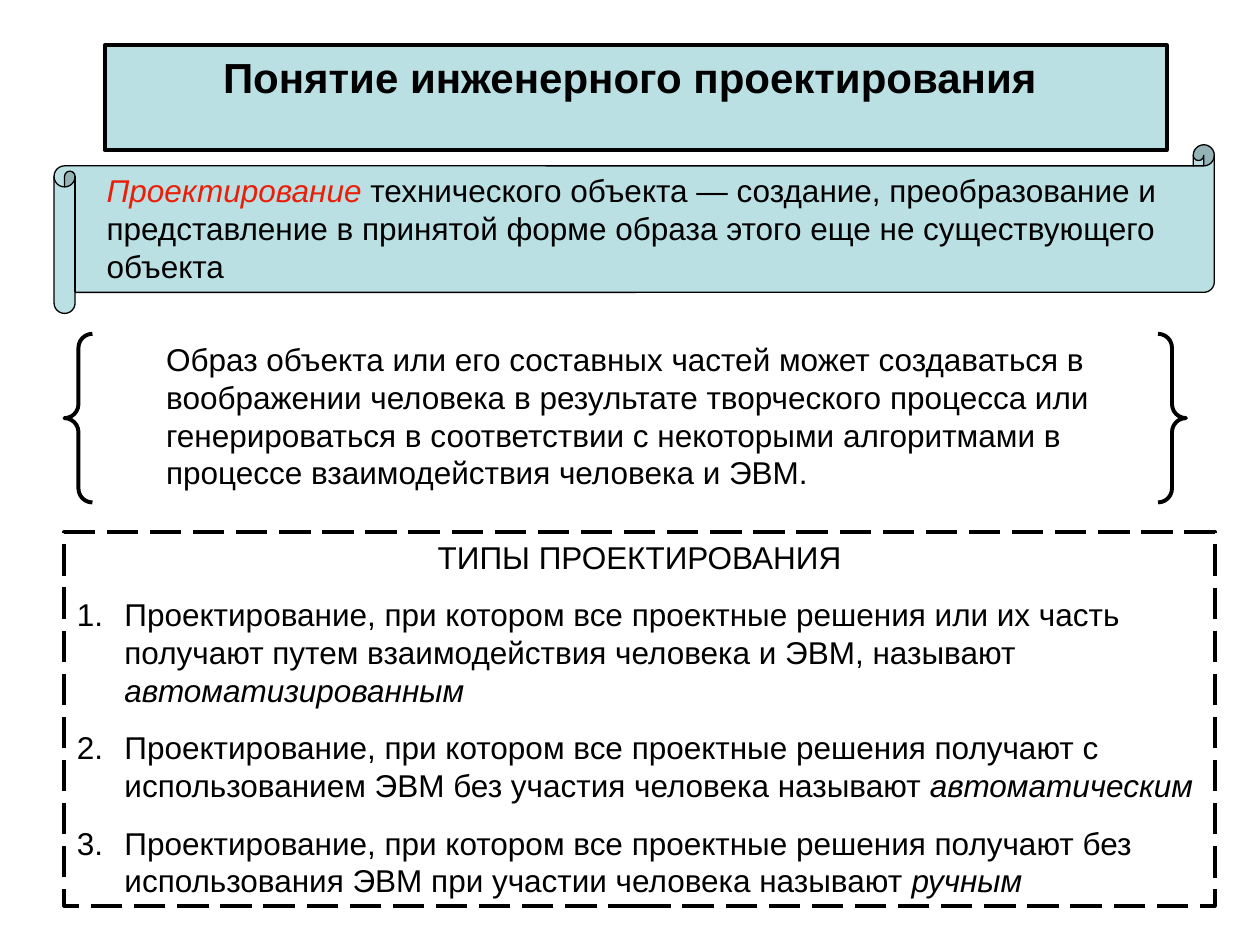
"""Build the slide on the notion of engineering design."""
from typing import NamedTuple, Optional

from lxml.etree import SubElement
from pptx import Presentation
from pptx.dml.color import RGBColor
from pptx.enum.dml import MSO_LINE
from pptx.enum.shapes import MSO_SHAPE
from pptx.enum.text import MSO_ANCHOR, MSO_AUTO_SIZE, PP_ALIGN
from pptx.oxml.ns import qn
from pptx.util import Cm, Pt

BLACK, RED, PALE_BLUE = "000000", "EA1F0A", "BBE0E3"


class Box(NamedTuple):
    left: float
    top: float
    width: float
    height: float


class Piece(NamedTuple):
    text: str
    color: str = BLACK
    italic: bool = False


class DesignType(NamedTuple):
    definition: str
    name: str


DESIGN_TYPES = [
    DesignType("Проектирование, при котором все проектные решения или их часть получают "
               "путем взаимодействия человека и ЭВМ, называют ", "автоматизированным"),
    DesignType("Проектирование, при котором все проектные решения получают с "
               "использованием ЭВМ без участия человека называют ", "автоматическим"),
    DesignType("Проектирование, при котором все проектные решения получают без "
               "использования ЭВМ при участии человека называют ", "ручным"),
]


def color_of(hex_color: str) -> RGBColor:
    return RGBColor.from_string(hex_color)


def place(shape, box: Box) -> None:
    shape.left, shape.top, shape.width, shape.height = map(Cm, box)


def paint(shape, fill: Optional[str], line_width: float) -> None:
    if fill:
        shape.fill.solid()
        shape.fill.fore_color.rgb = color_of(fill)
    else:
        shape.fill.background()
    shape.line.color.rgb = color_of(BLACK)
    shape.line.width = Pt(line_width)


def draw_shape(slide, kind: MSO_SHAPE, box: Box, fill: Optional[str], line_width: float):
    shape = slide.shapes.add_shape(kind, *map(Cm, box))
    shape.shadow.inherit = False
    paint(shape, fill, line_width)
    return shape


def prepare_frame(shape):
    frame = shape.text_frame
    frame.word_wrap = True
    frame.auto_size = MSO_AUTO_SIZE.SHAPE_TO_FIT_TEXT
    frame.vertical_anchor = MSO_ANCHOR.TOP
    return frame


def write(paragraph, pieces: list[Piece], alignment=PP_ALIGN.LEFT,
          size: float = 18, space: float = 11.2, bold: bool = False) -> None:
    paragraph.alignment = alignment
    paragraph.space_before = Pt(space)
    for piece in pieces:
        run = paragraph.add_run()
        run.text = piece.text
        run.font.name = "Arial"
        run.font.size = Pt(size)
        run.font.bold = bold
        run.font.italic = piece.italic
        run.font.color.rgb = color_of(piece.color)


def hang(paragraph, numbered: bool) -> None:
    properties = paragraph._p.get_or_add_pPr()
    properties.set("marL", str(Cm(0.96)))
    properties.set("indent", str(-Cm(0.96)))
    if numbered:
        bullet_color = SubElement(properties, qn("a:buClr"))
        SubElement(bullet_color, qn("a:srgbClr"), val=BLACK)
        SubElement(properties, qn("a:buFont"), typeface="Arial")
        SubElement(properties, qn("a:buAutoNum"), type="arabicPeriod")


def draw_title(slide) -> None:
    title = slide.shapes.title
    place(title, Box(2.11, 0.91, 21.41, 1.27))
    paint(title, PALE_BLUE, 2.25)
    write(prepare_frame(title).paragraphs[0], [Piece("Понятие инженерного проектирования ")],
          PP_ALIGN.CENTER, size=24, space=15, bold=True)


def draw_text(slide, box: Box, pieces: list[Piece]) -> None:
    text_box = slide.shapes.add_textbox(*map(Cm, box))
    write(prepare_frame(text_box).paragraphs[0], pieces)


def draw_design_types(slide, box: Box) -> None:
    panel = draw_shape(slide, MSO_SHAPE.RECTANGLE, box, None, 2.25)
    panel.line.dash_style = MSO_LINE.LONG_DASH
    frame = prepare_frame(panel)
    heading = frame.paragraphs[0]
    write(heading, [Piece("ТИПЫ ПРОЕКТИРОВАНИЯ")], PP_ALIGN.CENTER)
    hang(heading, numbered=False)
    for design_type in DESIGN_TYPES:
        paragraph = frame.add_paragraph()
        write(paragraph, [Piece(design_type.definition), Piece(design_type.name, italic=True)])
        hang(paragraph, numbered=True)


def main() -> None:
    presentation = Presentation()
    presentation.slide_width, presentation.slide_height = Cm(25.4), Cm(19.05)
    slide = presentation.slides.add_slide(presentation.slide_layouts[5])
    draw_title(slide)

    scroll = draw_shape(slide, MSO_SHAPE.HORIZONTAL_SCROLL,
                        Box(1.09, 2.92, 23.39, 3.4), PALE_BLUE, 0.75)
    scroll.adjustments[0] = 0.125
    draw_text(slide, Box(1.9, 3.33, 22.2, 2.54), [
        Piece("Проектирование ", RED, italic=True),
        Piece("технического объекта — создание, преобразование и представление "
              "в принятой форме образа этого еще не существующего объекта")])

    draw_text(slide, Box(3.1, 6.73, 19.41, 3.3), [
        Piece("Образ объекта или его составных частей может создаваться в воображении "
              "человека в результате творческого процесса или генерироваться в соответствии "
              "с некоторыми алгоритмами в процессе взаимодействия человека и ЭВМ.")])
    braces = draw_shape(slide, MSO_SHAPE.DOUBLE_BRACE, Box(1.3, 6.73, 22.61, 3.4), None, 2.25)
    braces.adjustments[0] = 0.083

    draw_design_types(slide, Box(1.3, 10.72, 23.19, 7.54))
    presentation.save("out.pptx")


if __name__ == "__main__":
    main()
